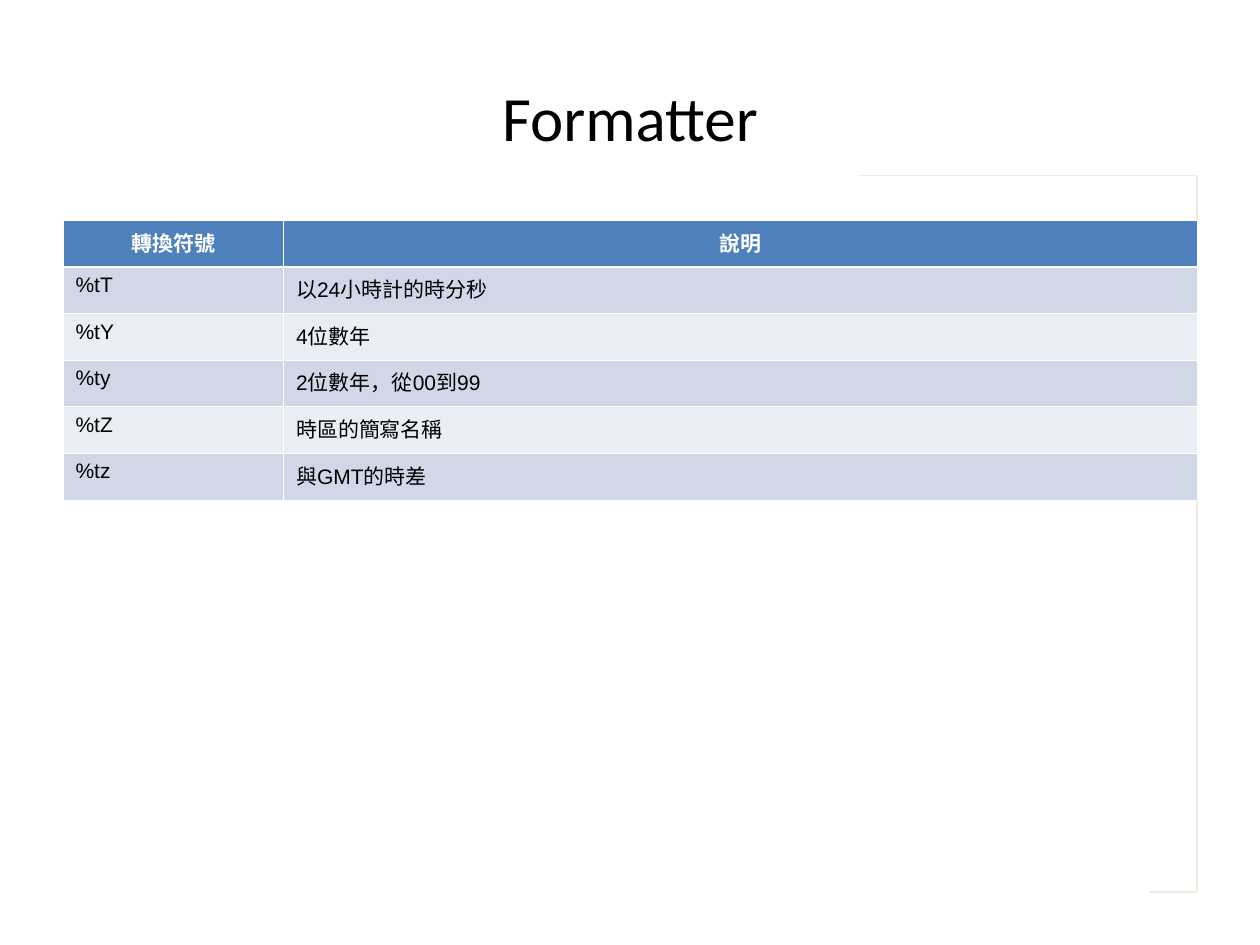
from lxml.etree import SubElement
from pptx import Presentation
from pptx.dml.color import RGBColor
from pptx.enum.text import MSO_ANCHOR, PP_ALIGN
from pptx.oxml.ns import qn
from pptx.util import Inches, Pt

COLORS = {
    "black": "000000",
    "white": "FFFFFF",
    "frame": "EEECE1",
    "head": "4F81BD",
    "odd": "D0D8E8",
    "even": "E9EDF4",
}
ROWS = [
    ("轉換符號", "說明"),
    ("%tT", "以24小時計的時分秒"),
    ("%tY", "4位數年"),
    ("%ty", "2位數年，從00到99"),
    ("%tZ", "時區的簡寫名稱"),
    ("%tz", "與GMT的時差"),
]
WIDTHS = (1.75, 7.25)
HIGH = 0.37
THIN, THICK = 0.45, 1.47


def color(name):
    return RGBColor.from_string(COLORS[name])


def write(frame, text, size=12, font="Arial", ink="black", bold=False,
          align=PP_ALIGN.LEFT):
    frame.text = text
    par = frame.paragraphs[0]
    par.alignment = align
    face = par.runs[0].font
    face.name, face.size, face.bold = font, Pt(size), bold
    face.color.rgb = color(ink)


def add_frame(slide):
    """Draw the open outline that runs behind the table."""
    points = [(9.5, 1.39), (9.5, 7.08), (9.12, 7.08)]
    pen = slide.shapes.build_freeform(Inches(6.81), Inches(1.39))
    pen.add_line_segments([(Inches(x), Inches(y)) for x, y in points],
                          close=False)
    shape = pen.convert_to_shape()
    shape.shadow.inherit = False
    shape.fill.background()
    shape.line.color.rgb = color("frame")
    shape.line.width = Pt(0.75)


def add_title(slide, text):
    title = slide.shapes.title
    title.left, title.top = Inches(0.5), Inches(0.3)
    title.width, title.height = Inches(9), Inches(1.25)
    frame = title.text_frame
    frame.vertical_anchor = MSO_ANCHOR.MIDDLE
    write(frame, text, size=36, font="Calibri", align=PP_ALIGN.CENTER)


def set_edges(cell, top=THIN, bottom=THIN):
    props = cell._tc.get_or_add_tcPr()
    sides = {"lnL": THIN, "lnR": THIN, "lnT": top, "lnB": bottom}
    for tag, width in sides.items():
        line = SubElement(props, qn(f"a:{tag}"), w=str(Pt(width)))
        fill = SubElement(line, qn("a:solidFill"))
        SubElement(fill, qn("a:srgbClr"), val=COLORS["white"])


def add_grid(slide):
    grid = slide.shapes.add_table(
        len(ROWS), len(WIDTHS), Inches(0.5), Inches(1.75),
        Inches(sum(WIDTHS)), Inches(HIGH * len(ROWS))).table
    for col, width in zip(grid.columns, WIDTHS):
        col.width = Inches(width)
    for i, texts in enumerate(ROWS):
        grid.rows[i].height = Inches(HIGH)
        head = i == 0
        fill = "head" if head else "odd" if i % 2 else "even"
        for j, text in enumerate(texts):
            cell = grid.cell(i, j)
            set_edges(cell, top=THICK if i == 1 else THIN,
                      bottom=THICK if head else THIN)
            cell.fill.solid()
            cell.fill.fore_color.rgb = color(fill)
            write(cell.text_frame, text, bold=head,
                  ink="white" if head else "black",
                  align=PP_ALIGN.CENTER if head else PP_ALIGN.LEFT)


def main():
    deck = Presentation()
    deck.slide_width, deck.slide_height = Inches(10), Inches(7.5)
    slide = deck.slides.add_slide(deck.slide_layouts[5])
    add_frame(slide)
    add_title(slide, "Formatter")
    add_grid(slide)
    deck.save("out.pptx")


if __name__ == "__main__":
    main()
